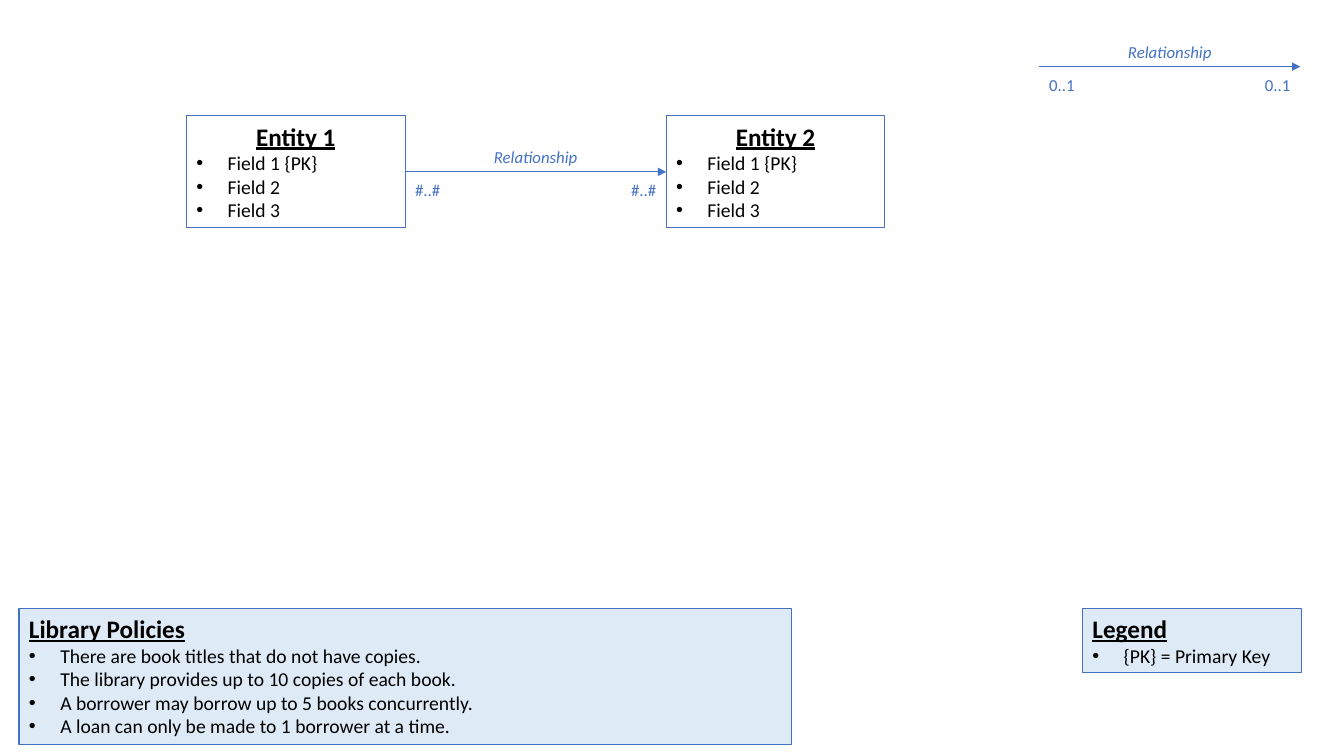
from dataclasses import dataclass

from lxml import etree
from pptx import Presentation
from pptx import util as u
from pptx.dml.color import RGBColor
from pptx.enum import shapes, text
from pptx.oxml.ns import qn

COLORS = {"line": "4472C4", "panel": "DEEBF7", "ink": "000000"}
FONT = "Calibri"
TITLE = {"size": u.Pt(18), "bold": True, "underline": True}
ITEM = {"size": u.Pt(14), "bold": False, "underline": False}
LABEL = {"size": u.Pt(12)}
FRAME = {"word_wrap": True, "vertical_anchor": text.MSO_ANCHOR.TOP,
         "auto_size": text.MSO_AUTO_SIZE.SHAPE_TO_FIT_TEXT}
LEFT, CENTER, RIGHT = (text.PP_ALIGN.LEFT, text.PP_ALIGN.CENTER,
                       text.PP_ALIGN.RIGHT)

ENTITY_W = 5.51
LINK_W = 6.58
LABEL_H = 0.76
LABEL_GAP = 0.08
END_W = 1.63
BULLET_INDENT = 0.79


@dataclass
class Box:
    """A titled bullet list; lengths in centimetres."""
    title: str
    items: tuple[str, ...]
    x: float
    y: float
    w: float
    h: float
    fill: str | None = None
    align: text.PP_ALIGN = LEFT


@dataclass
class Relationship:
    """An arrow with a name above and a multiplicity at each end."""
    x: float
    y: float
    multiplicity: str


FIELDS = ("Field 1 {PK}", "Field 2", "Field 3")
ENTITY_X, ENTITY_Y, ENTITY_H = 4.7, 2.92, 2.82
BOXES = [
    Box(f"Entity {i + 1}", FIELDS, ENTITY_X + i * (ENTITY_W + LINK_W), ENTITY_Y,
        ENTITY_W, ENTITY_H, align=CENTER)
    for i in range(2)
] + [
    Box("Legend", ("{PK} = Primary Key",), 27.28, 15.33, ENTITY_W, 1.63, "panel"),
    Box("Library Policies", (
        "There are book titles that do not have copies.",
        "The library provides up to 10 copies of each book.",
        "A borrower may borrow up to 5 books concurrently.",
        "A loan can only be made to 1 borrower at a time.",
    ), 0.48, 15.33, 19.48, 3.43, "panel"),
]
RELATIONSHIPS = [
    Relationship(ENTITY_X + ENTITY_W, 4.33, "#..#"),
    Relationship(26.19, 1.68, "0..1"),
]


def set_all(target, values: dict) -> None:
    for name, value in values.items():
        setattr(target, name, value)


def rgb(name: str) -> RGBColor:
    return RGBColor.from_string(COLORS[name])


def write(p, words: str, color: str, style: dict, align=LEFT) -> None:
    p.alignment = align
    r = p.add_run()
    r.text = words
    set_all(r.font, {"name": FONT, **style})
    r.font.color.rgb = rgb(color)


def add_bullet(p) -> None:
    pPr = p._p.get_or_add_pPr()
    indent = u.Cm(BULLET_INDENT)
    pPr.set("marL", str(indent))
    pPr.set("indent", str(-indent))
    etree.SubElement(pPr, qn("a:buFont"), typeface="Arial")
    etree.SubElement(pPr, qn("a:buChar"), char="•")


def draw_box(slide, box: Box) -> None:
    sp = slide.shapes.add_shape(shapes.MSO_SHAPE.RECTANGLE, u.Cm(box.x),
                                u.Cm(box.y), u.Cm(box.w), u.Cm(box.h))
    sp.shadow.inherit = False
    if box.fill:
        sp.fill.solid()
        sp.fill.fore_color.rgb = rgb(box.fill)
    else:
        sp.fill.background()
    sp.line.color.rgb = rgb("line")
    sp.line.width = u.Pt(0.75)
    tf = sp.text_frame
    set_all(tf, FRAME)
    write(tf.paragraphs[0], box.title, "ink", TITLE, box.align)
    for item in box.items:
        p = tf.add_paragraph()
        write(p, item, "ink", ITEM)
        add_bullet(p)


def draw_label(group, words: str, x: float, y: float, w: float, align,
               italic: bool = False) -> None:
    sp = group.shapes.add_textbox(u.Cm(x), u.Cm(y), u.Cm(w), u.Cm(LABEL_H))
    tf = sp.text_frame
    set_all(tf, FRAME)
    write(tf.paragraphs[0], words, "line", {**LABEL, "italic": italic}, align)


def draw_relationship(slide, rel: Relationship) -> None:
    group = slide.shapes.add_group_shape()
    end = rel.x + LINK_W
    arrow = group.shapes.add_connector(shapes.MSO_CONNECTOR.STRAIGHT, u.Cm(rel.x),
                                       u.Cm(rel.y), u.Cm(end), u.Cm(rel.y))
    arrow.line.color.rgb = rgb("line")
    arrow.line.width = u.Pt(0.5)
    etree.SubElement(arrow.line._get_or_add_ln(), qn("a:tailEnd"), type="triangle")
    etree.SubElement(arrow._element.spPr, qn("a:effectLst"))
    below = rel.y + LABEL_GAP
    draw_label(group, "Relationship", rel.x, rel.y - LABEL_H, LINK_W, CENTER, True)
    draw_label(group, rel.multiplicity, rel.x, below, END_W, LEFT)
    draw_label(group, rel.multiplicity, end - END_W, below, END_W, RIGHT)


def main() -> None:
    prs = Presentation()
    set_all(prs, {"slide_width": u.Cm(33.87), "slide_height": u.Cm(19.05)})
    slide = prs.slides.add_slide(prs.slide_layouts[6])
    for box in BOXES:
        draw_box(slide, box)
    for rel in RELATIONSHIPS:
        draw_relationship(slide, rel)
    prs.save("out.pptx")


if __name__ == "__main__":
    main()
